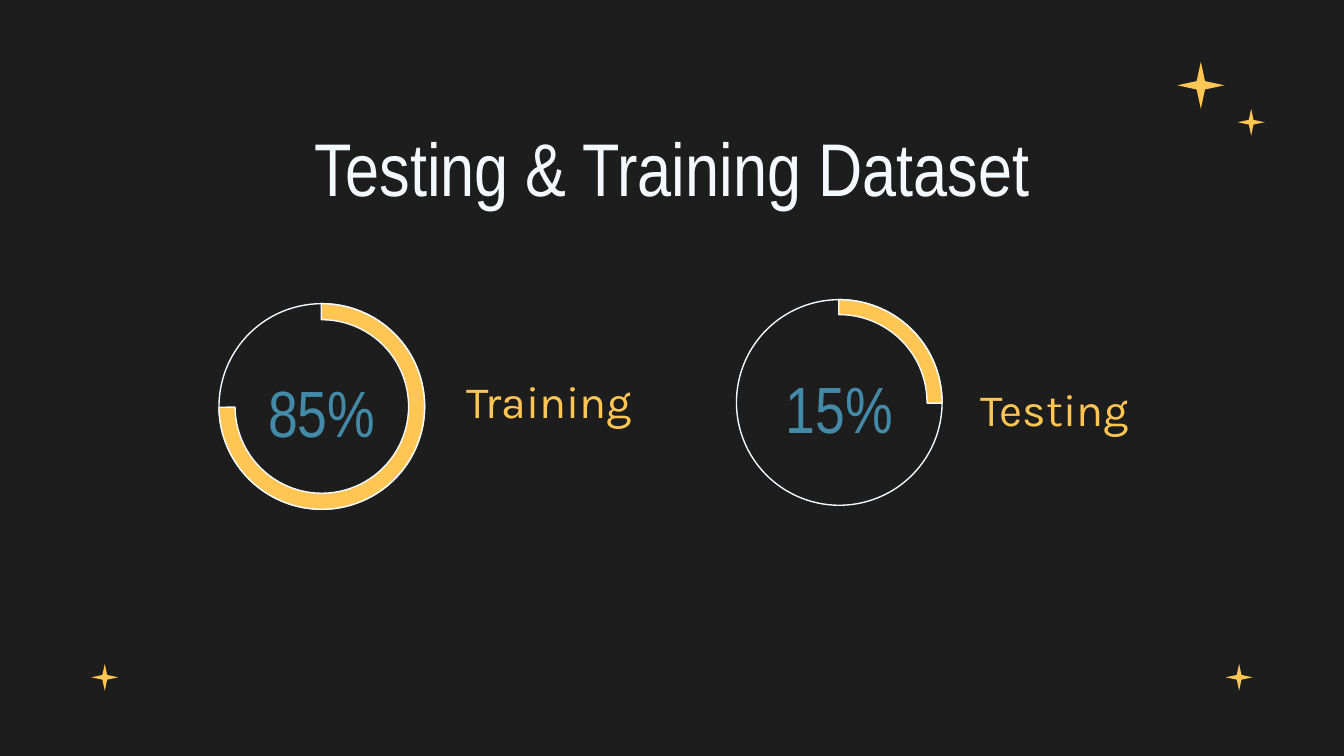
from pptx import Presentation
from pptx import util as u
from pptx.dml.color import RGBColor
from pptx.enum import shapes, text

BACKDROP, GOLD, PALE, BLUE = "1D1D1D", "FFC654", "F4F9FF", "428AA8"
NARROW, KARLA = "Arial Narrow", "Karla"
WIDTH = 10
HEIGHT = WIDTH * 9 / 16
RING = 1.53
CORNER_STARS = [(9.12, 4.94, 0.2), (0.68, 4.94, 0.2)]
TOP_STARS = [(8.76, 0.46, 0.35), (9.21, 0.81, 0.2)]


def paint(colour_format, colour):
    """Set a fill or font colour from a hex string."""
    colour_format.rgb = RGBColor.from_string(colour)


def place(item, left, top, width, height):
    """Set the position and size of a shape."""
    item.left, item.top = u.Inches(left), u.Inches(top)
    item.width, item.height = u.Inches(width), u.Inches(height)


def add_figure(slide, preset, left, top, size, fill=None, line=None):
    """Add a square preset shape with an optional fill and outline."""
    figure = slide.shapes.add_shape(
        preset, u.Inches(left), u.Inches(top), u.Inches(size), u.Inches(size))
    figure.shadow.inherit = False
    if fill:
        figure.fill.solid()
        paint(figure.fill.fore_color, fill)
    else:
        figure.fill.background()
    if line:
        paint(figure.line.color, line)
        figure.line.width = u.Pt(0.75)
    else:
        figure.line.fill.background()
    return figure


def add_star(slide, left, top, size):
    """Add a gold four-pointed star."""
    star = add_figure(slide, shapes.MSO_SHAPE.STAR_4_POINT, left, top, size, GOLD)
    star.adjustments[0] = 0.125


def add_ring(slide, left, top, end_angle, thickness):
    """Add a circle with an arc from its top to an angle in degrees."""
    add_figure(slide, shapes.MSO_SHAPE.OVAL, left, top, RING, line=PALE)
    arc = add_figure(slide, shapes.MSO_SHAPE.BLOCK_ARC, left, top, RING, GOLD, PALE)
    for index, value in enumerate((269.7 * 0.6, end_angle * 0.6, thickness)):
        arc.adjustments[index] = value


def write(box, words, size, font, colour, align, anchor, spacing=None):
    """Write one formatted line into a text holder."""
    frame = box.text_frame
    frame.word_wrap = True
    frame.auto_size = text.MSO_AUTO_SIZE.NONE
    frame.vertical_anchor = anchor
    frame.margin_left = frame.margin_right = u.Inches(0.1)
    frame.margin_top = frame.margin_bottom = u.Inches(0.1)
    line = frame.paragraphs[0]
    line.alignment = align
    if spacing:
        line.line_spacing = spacing
    run = line.add_run()
    run.text = words
    run.font.size = u.Pt(size)
    run.font.name = font
    paint(run.font.color, colour)


def add_words(slide, area, *style):
    """Add a text box with one formatted line."""
    write(slide.shapes.add_textbox(*map(u.Inches, area)), *style)


def main():
    """Build the dataset split slide."""
    deck = Presentation()
    deck.slide_width, deck.slide_height = u.Inches(WIDTH), u.Inches(HEIGHT)
    slide = deck.slides.add_slide(deck.slide_layouts[5])
    slide.background.fill.solid()
    paint(slide.background.fill.fore_color, BACKDROP)

    left, center = text.PP_ALIGN.LEFT, text.PP_ALIGN.CENTER
    top, middle, bottom = (text.MSO_ANCHOR.TOP, text.MSO_ANCHOR.MIDDLE,
                           text.MSO_ANCHOR.BOTTOM)
    title = slide.shapes.title
    place(title, 0, 0.81, WIDTH, 0.63)
    write(title, "Testing & Training Dataset", 40, NARROW, PALE, center, top)

    for star in CORNER_STARS:
        add_star(slide, *star)

    splits = [
        ("85%", "Training", 1.63, 2.26, 179.57, 0.078, 2.84, 3.37, 2.73),
        ("15%", "Testing", 5.48, 2.23, 0.42, 0.073, 2.81, 7.2, 2.79),
    ]
    for share, name, x, y, angle, thickness, share_y, name_x, name_y in splits:
        add_ring(slide, x, y, angle, thickness)
        add_words(slide, (x, share_y, RING, 0.44),
                  share, 35, NARROW, BLUE, center, middle)
        add_words(slide, (name_x, name_y, 2.38, 0.55),
                  name, 24, KARLA, GOLD, left, bottom, 1.15)

    for star in TOP_STARS:
        add_star(slide, *star)
    deck.save("out.pptx")


if __name__ == "__main__":
    main()
